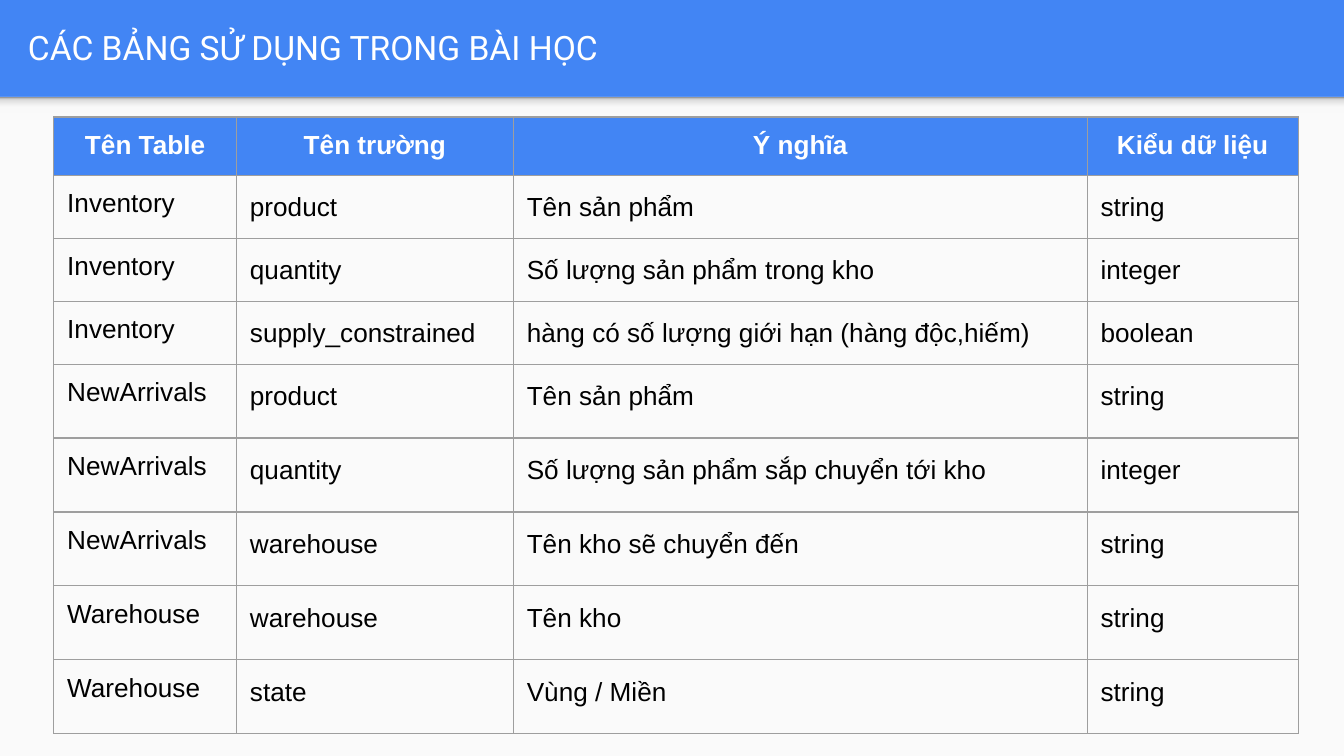
"""Build a slide listing the tables, fields and types used in the lesson."""
from dataclasses import dataclass

from lxml import etree
from pptx import Presentation
from pptx import util as u
from pptx.dml.color import RGBColor
from pptx.enum import shapes, text
from pptx.oxml.ns import qn

WIDE = 10
HIGH = WIDE * 9 / 16
BLUE, PAPER, WHITE, BLACK, GRAY = "4285F4", "FAFAFA", "FFFFFF", "000000", "9E9E9E"
FADE = ((0, "F9F9F9"), (36, "F9F9F9"), (80, "DEDEDE"), (100, "999999"))
PLAIN = "{2D5ABB26-0587-4C30-8999-92F81FD0307C}"
COLS = (1.36, 2.06, 4.27, 1.57)
ROWS = (0.43, 0.36, 0.36, 0.43) + (0.55,) * 5
HEAD = ("Tên Table", "Tên trường", "Ý nghĩa", "Kiểu dữ liệu")


@dataclass
class Box:
    """A frame given as shares of the slide's width and height."""
    x: float
    y: float
    w: float
    h: float

    def emu(self) -> tuple:
        """Return left, top, width and height as lengths."""
        return tuple(u.Inches(part * side) for part, side in
                     zip((self.x, self.y, self.w, self.h), (WIDE, HIGH) * 2))


@dataclass
class Field:
    """One field of a database table."""
    table: str
    name: str
    sense: str
    kind: str

    def cells(self) -> tuple:
        """Return the texts of the row."""
        return self.table, self.name, self.sense, self.kind


FIELDS = (
    Field("Inventory", "product", "Tên sản phẩm", "string"),
    Field("Inventory", "quantity", "Số lượng sản phẩm trong kho", "integer"),
    Field("Inventory", "supply_constrained",
          "hàng có số lượng giới hạn (hàng độc,hiếm)", "boolean"),
    Field("NewArrivals", "product", "Tên sản phẩm", "string"),
    Field("NewArrivals", "quantity", "Số lượng sản phẩm sắp chuyển tới kho", "integer"),
    Field("NewArrivals", "warehouse", "Tên kho sẽ chuyển đến", "string"),
    Field("Warehouse", "warehouse", "Tên kho", "string"),
    Field("Warehouse", "state", "Vùng / Miền", "string"),
)


def paint(fill, shade: str) -> None:
    """Fill with one plain colour."""
    fill.solid()
    fill.fore_color.rgb = RGBColor.from_string(shade)


def write(para, words: str, size: float, face: str, shade: str, bold: bool = False) -> None:
    """Add one styled run and end the paragraph in the same size and font."""
    run = para.add_run()
    run.text = words
    font = run.font
    font.size, font.name, font.bold = u.Pt(size), face, bold
    font.color.rgb = RGBColor.from_string(shade)
    end = etree.SubElement(para._p, qn("a:endParaRPr"), sz=str(size * 100))
    etree.SubElement(end, qn("a:latin"), typeface=face)


def pad(frame) -> None:
    """Set equal insets on a cell or text frame."""
    frame.margin_left = frame.margin_right = u.Inches(0.1)
    frame.margin_top = frame.margin_bottom = u.Inches(0.1)


def panel(slide, box: Box):
    """Draw a rectangle without outline or shadow."""
    shape = slide.shapes.add_shape(shapes.MSO_SHAPE.RECTANGLE, *box.emu())
    shape.shadow.inherit = False
    shape.line.fill.background()
    return shape


def shade_down(shape) -> None:
    """Give a shape the fade that is darkest at its top."""
    shape.fill.gradient()
    shape.fill.gradient_angle = 90
    stops = shape.fill._fill._gradFill.find(qn("a:gsLst"))
    for stop in list(stops):
        stops.remove(stop)
    for pos, shade in FADE:
        stop = etree.SubElement(stops, qn("a:gs"), pos=str(pos * 1000))
        etree.SubElement(stop, qn("a:srgbClr"), val=shade)


def edge(cell) -> None:
    """Draw the four borders of a cell."""
    props = cell._tc.get_or_add_tcPr()
    for spot, side in enumerate(("lnL", "lnR", "lnT", "lnB")):
        line = etree.Element(qn(f"a:{side}"), w=str(u.Pt(0.75)))
        fill = etree.SubElement(line, qn("a:solidFill"))
        etree.SubElement(fill, qn("a:srgbClr"), val=GRAY)
        etree.SubElement(line, qn("a:prstDash"), val="solid")
        props.insert(spot, line)


def fill_cell(cell, words: str, head: bool, first: bool) -> None:
    """Style and fill one cell of the grid."""
    pad(cell)
    para = cell.text_frame.paragraphs[0]
    if head:
        paint(cell.fill, BLUE)
        para.alignment = text.PP_ALIGN.CENTER
    else:
        cell.fill.background()
        if not first:
            para.line_spacing = 1.15
    write(para, words, 14, "Arial", WHITE if head else BLACK, head)
    edge(cell)


def add_grid(slide, box: Box) -> None:
    """Add the table of fields."""
    frame = slide.shapes.add_table(len(ROWS), len(COLS), *box.emu())
    grid = frame.table
    grid.first_row = grid.horz_banding = False
    grid._tbl.tblPr.find(qn("a:tableStyleId")).text = PLAIN
    for col, wide in zip(grid.columns, COLS):
        col.width = u.Inches(wide)
    for row, high in zip(grid.rows, ROWS):
        row.height = u.Inches(high)
    for r, line in enumerate((HEAD, *(f.cells() for f in FIELDS))):
        for c, words in enumerate(line):
            fill_cell(grid.cell(r, c), words, r == 0, c == 0)
    frame.left, frame.top, frame.width, frame.height = box.emu()


def add_title(slide, box: Box, words: str) -> None:
    """Add the heading on the blue band."""
    frame = slide.shapes.add_textbox(*box.emu()).text_frame
    frame.word_wrap = True
    frame.vertical_anchor = text.MSO_ANCHOR.MIDDLE
    pad(frame)
    write(frame.paragraphs[0], words, 18, "Roboto", WHITE)


def main() -> None:
    """Build and save the slide."""
    deck = Presentation()
    deck.slide_width, deck.slide_height = u.Inches(WIDE), u.Inches(HIGH)
    slide = deck.slides.add_slide(deck.slide_layouts[6])
    paint(slide.background.fill, BLUE)
    top = 0.72 / HIGH
    paint(panel(slide, Box(0, top, 1, 1 - top)).fill, PAPER)
    shade_down(panel(slide, Box(0, top, 1, 0.12 / HIGH)))
    add_title(slide, Box(0.011, 0.02 / HIGH, 0.965, 0.66 / HIGH),
              "CÁC BẢNG SỬ DỤNG TRONG BÀI HỌC")
    add_grid(slide, Box(0.04, 0.87 / HIGH, 0.925, 4.54 / HIGH))
    deck.save("out.pptx")


if __name__ == "__main__":
    main()
